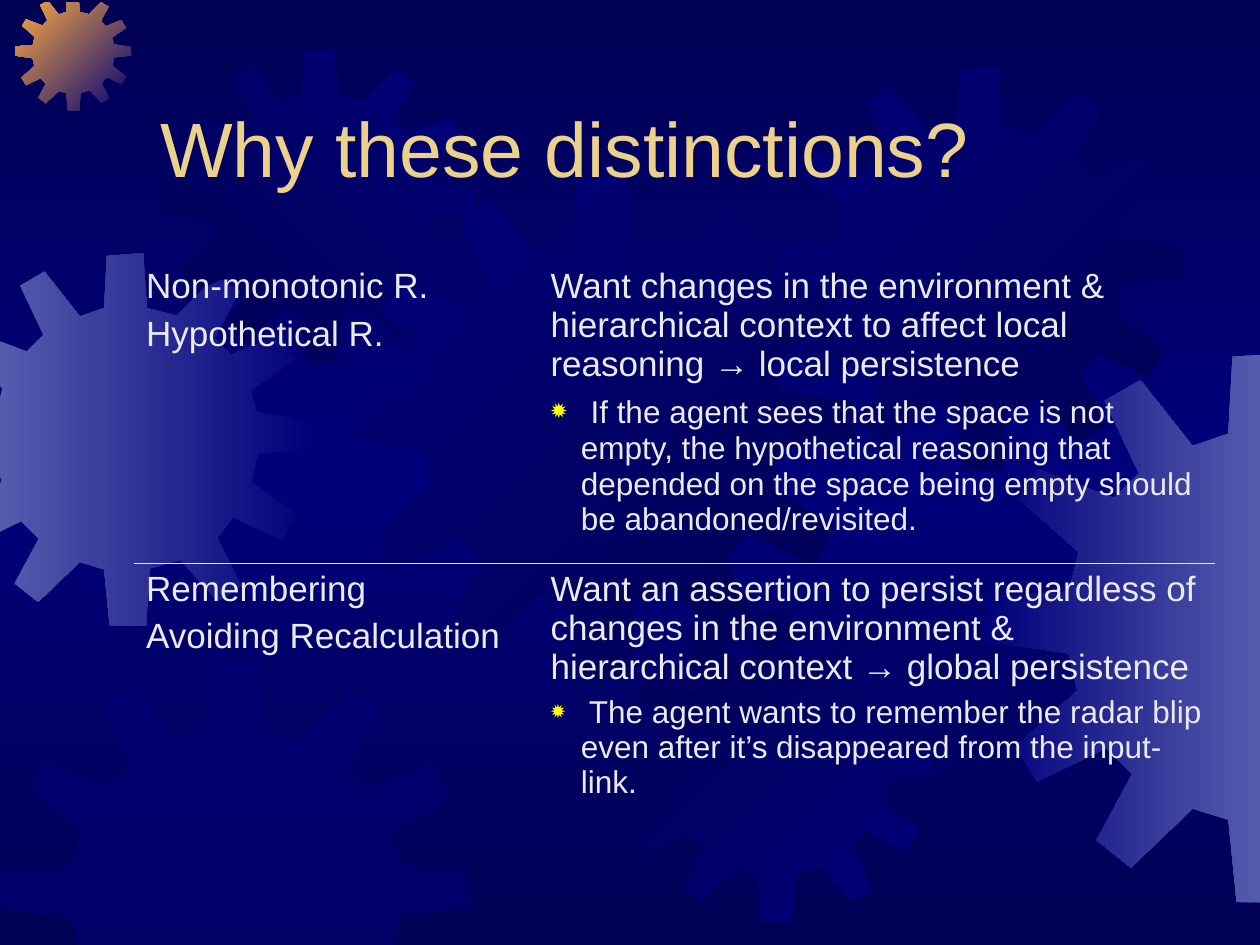
from copy import deepcopy
from lxml.etree import SubElement
from pptx import Presentation
from pptx.dml.color import RGBColor
from pptx.enum.text import MSO_ANCHOR, PP_ALIGN
from pptx.oxml import parse_xml
from pptx.oxml.ns import nsdecls, qn
from pptx.util import Inches, Pt

COLORS = {"navy": "000054", "blue": "00007A", "steel": "555BAD", "orange": "FCAB40",
          "gold": "EBD189", "text": "EAEAEA", "bullet": "FFFF00"}
FONT = "Arial"
TITLE = "Why these distinctions?"
NO_GRID_STYLE = "{2D5ABB26-0587-4C30-8999-92F81FD0307C}"

ROWS = [
    (["Non-monotonic R.", "Hypothetical R."],
     "Want changes in the environment & hierarchical context to affect local reasoning → local persistence",
     [(" ", 20), ("If the agent sees that the space is not empty, the hypothetical reasoning that "
                  "depended on the space being empty should be abandoned/revisited.", 18)]),
    (["Remembering", "Avoiding Recalculation"],
     "Want an assertion to persist regardless of changes in the environment & "
     "hierarchical context → global persistence",
     [(" The agent wants to remember the radar blip even after it’s disappeared "
       "from the input-link.", 18)]),
]
COLUMN_WIDTHS = [3.21, 5.37]
ROW_HEIGHTS = [2.4, 2.22]

GEAR_UNIT = 4.01
GEAR_OUTLINE = [
    (2.55, 0.67), (2.23, 0.59), (2.19, 0), (1.8, 0.03), (1.77, 0.59), (1.51, 0.68),
    (1.13, 0.2), (0.87, 0.35), (1.12, 0.88), (0.94, 1.06), (0.38, 0.85), (0.25, 1.07),
    (0.68, 1.45), (0.61, 1.74), (0.01, 1.78), (0, 2.1), (0.61, 2.19), (0.67, 2.46),
    (0.22, 2.87), (0.38, 3.12), (0.88, 2.88), (1.07, 3.07), (0.81, 3.55), (1.06, 3.75),
    (1.51, 3.32), (1.77, 3.4), (1.83, 4), (2.22, 4.01), (2.26, 3.39), (2.59, 3.3),
    (2.99, 3.74), (3.25, 3.58), (2.99, 3.06), (3.16, 2.84), (3.68, 3.09), (3.84, 2.81),
    (3.36, 2.46), (3.42, 2.16), (4.01, 2.1), (4, 1.8), (3.41, 1.71), (3.35, 1.48),
    (3.83, 1.14), (3.67, 0.87), (3.13, 1.09), (2.96, 0.91), (3.23, 0.41), (2.97, 0.25),
]
GEARS = [
    (-0.48, 2.01, 2.96, ("blue", "steel"), 180),
    (0.12, -0.04, 0.92, ("blue", "orange"), 225),
    (1.3, 0.39, 2.48, ("blue", "navy"), 135),
    (2.77, 1.39, 4.01, ("navy", "blue"), 225),
    (0, 5.25, 3.74, ("blue",), 50),
    (4.91, 4.84, 2.48, ("blue", "navy"), 225),
    (6.18, 0.53, 3.2, ("navy", "blue"), 225),
    (7.82, 2.8, 4.37, ("steel", "blue"), 180),
]
EDGES = [(0, 0, 1), (0, 10, -1), (1, 0.02, 1), (1, 7.5, -1)]


def rgb(name):
    return RGBColor.from_string(COLORS[name])


def clip(points, axis, limit, sign):
    kept = []
    for start, end in zip(points[-1:] + points[:-1], points):
        start_in = (start[axis] - limit) * sign >= 0
        end_in = (end[axis] - limit) * sign >= 0
        if start_in != end_in:
            ratio = (limit - start[axis]) / (end[axis] - start[axis])
            kept.append(tuple(a + (b - a) * ratio for a, b in zip(start, end)))
        if end_in:
            kept.append(end)
    return kept


def set_gradient(fill, names, clockwise_angle):
    fill.gradient()
    fill.gradient_angle = 360 - clockwise_angle
    for stop, name in zip(fill.gradient_stops, names):
        stop.color.rgb = rgb(name)


def add_background(page):
    set_gradient(page.background.fill, ("navy", "blue"), 90)
    stops = page.element.find(".//" + qn("a:gsLst"))
    last = deepcopy(stops[0])
    stops[1].set("pos", "50000")
    last.set("pos", "100000")
    stops.append(last)


def add_gear(page, left, top, size, names, setting):
    scale = size / GEAR_UNIT
    points = [(left + x * scale, top + y * scale) for x, y in GEAR_OUTLINE]
    for edge in EDGES:
        points = clip(points, *edge)
    points = [(Inches(x), Inches(y)) for x, y in points]
    builder = page.shapes.build_freeform(*points[0])
    builder.add_line_segments(points[1:], close=True)
    gear = builder.convert_to_shape()
    gear.shadow.inherit = False
    gear.line.fill.background()
    if len(names) == 2:
        set_gradient(gear.fill, names, setting)
    else:
        gear.fill.solid()
        gear.fill.fore_color.rgb = rgb(names[0])
        color = gear.element.spPr.find(".//" + qn("a:srgbClr"))
        SubElement(color, qn("a:alpha"), val=str(setting * 1000))


def add_span(para, text, size, color):
    span = para.add_run()
    span.text = text
    span.font.name = FONT
    span.font.size = Pt(size)
    span.font.color.rgb = rgb(color)


def add_title(page):
    title = page.shapes.title
    title.left, title.top, title.width, title.height = map(Inches, (1.17, 0.33, 8.5, 1.25))
    title.element.getparent().append(title.element)
    title.text_frame.vertical_anchor = MSO_ANCHOR.BOTTOM
    para = title.text_frame.paragraphs[0]
    para.alignment = PP_ALIGN.LEFT
    add_span(para, TITLE, 44, "gold")


def add_bullet(para):
    properties = para._p.get_or_add_pPr()
    properties.set("marL", str(Inches(0.24)))
    properties.set("indent", str(-Inches(0.24)))
    color = SubElement(properties, qn("a:buClr"))
    SubElement(color, qn("a:srgbClr"), val=COLORS["bullet"])
    SubElement(properties, qn("a:buSzPct"), val="80000")
    SubElement(properties, qn("a:buChar"), char="✹")


def fill_cell(cell, lines, bullet, side):
    cell.fill.background()
    cell.margin_left = cell.margin_right = Inches(0.1)
    cell.margin_top = cell.margin_bottom = Inches(0.05)
    cell._tc.tcPr.insert(0, parse_xml(
        f'<a:{side} {nsdecls("a")} w="{Pt(0.45)}"><a:solidFill>'
        f'<a:srgbClr val="{COLORS["text"]}"/></a:solidFill></a:{side}>'))
    frame = cell.text_frame
    paragraphs = [[(line, 20)] for line in lines] + ([bullet] if bullet else [])
    for index, spans in enumerate(paragraphs):
        para = frame.add_paragraph() if index else frame.paragraphs[0]
        para.space_before = Pt(4.5 if spans is bullet else 5)
        if spans is bullet:
            add_bullet(para)
        for text, size in spans:
            add_span(para, text, size, "text")


def add_reasons(page):
    table = page.shapes.add_table(
        len(ROWS), len(COLUMN_WIDTHS), Inches(1.06), Inches(2.07),
        Inches(sum(COLUMN_WIDTHS)), Inches(sum(ROW_HEIGHTS))).table
    table.first_row = table.horz_banding = False
    table._tbl.tblPr.find(qn("a:tableStyleId")).text = NO_GRID_STYLE
    for column, width in zip(table.columns, COLUMN_WIDTHS):
        column.width = Inches(width)
    for row, height, side, (topics, reason, example) in zip(
            table.rows, ROW_HEIGHTS, ("lnB", "lnT"), ROWS):
        row.height = Inches(height)
        fill_cell(row.cells[0], topics, None, side)
        fill_cell(row.cells[1], [reason], example, side)


def main():
    deck = Presentation()
    deck.slide_width, deck.slide_height = Inches(10), Inches(7.5)
    page = deck.slides.add_slide(deck.slide_layouts[5])
    add_background(page)
    for gear in GEARS:
        add_gear(page, *gear)
    add_title(page)
    add_reasons(page)
    deck.save("out.pptx")


if __name__ == "__main__":
    main()
